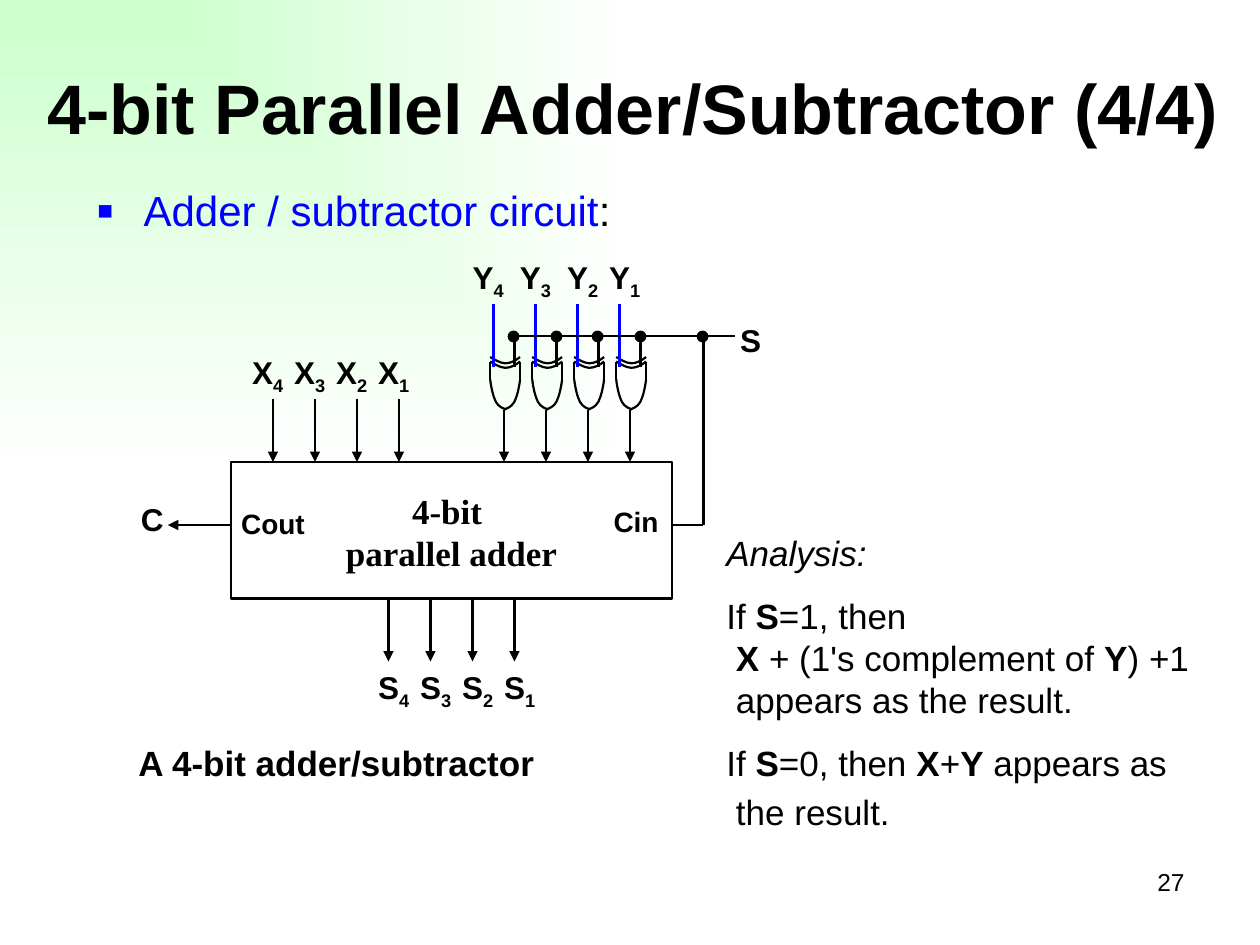
from lxml.etree import SubElement
from pptx import Presentation
from pptx.dml.color import RGBColor
from pptx.enum.shapes import MSO_CONNECTOR, MSO_SHAPE
from pptx.enum.text import MSO_ANCHOR, PP_ALIGN
from pptx.oxml.ns import qn
from pptx.util import Pt

BLACK, BLUE = "000000", "0000FF"
LEFT, CENTER, RIGHT = PP_ALIGN.LEFT, PP_ALIGN.CENTER, PP_ALIGN.RIGHT

presentation = Presentation()
presentation.slide_width, presentation.slide_height = Pt(720), Pt(540)
slide = presentation.slides.add_slide(presentation.slide_layouts[6])
shapes = slide.shapes


def write(lines, left, top, width, height, size, align=CENTER, font="Arial"):
    frame = shapes.add_textbox(Pt(left), Pt(top), Pt(width), Pt(height)).text_frame
    frame.word_wrap = True
    for number, line in enumerate(lines):
        paragraph = frame.add_paragraph() if number else frame.paragraphs[0]
        paragraph.alignment = align
        for text, style in line:
            run = paragraph.add_run()
            run.text = text
            run.font.name, run.font.size = font, Pt(size)
            run.font.bold, run.font.italic = "bold" in style, "italic" in style
            run.font.color.rgb = RGBColor.from_string(BLUE if "blue" in style else BLACK)
            if "sub" in style:
                run._r.get_or_add_rPr().set("baseline", "-25000")
    return frame


def wire(x1, y1, x2, y2, color=BLACK, arrow=False):
    connector = shapes.add_connector(MSO_CONNECTOR.STRAIGHT, Pt(x1), Pt(y1), Pt(x2), Pt(y2))
    connector.line.width = Pt(1.25)
    connector.line.color.rgb = RGBColor.from_string(color)
    if arrow:
        SubElement(connector.get_or_add_ln(), qn("a:tailEnd"), type="triangle")
    SubElement(connector._element.spPr, qn("a:effectLst"))


backdrop = slide.background.fill
backdrop.gradient()
for stop, color, position in zip(backdrop.gradient_stops, ("CCFFCC", "FFFFFF"), (0, 1)):
    stop.color.rgb = RGBColor.from_string(color)
    stop.position = position
gradient = slide.element.find(".//" + qn("a:gradFill"))
gradient.remove(gradient.find(qn("a:lin")))
corner = SubElement(gradient, qn("a:path"), path="rect")
SubElement(corner, qn("a:fillToRect"), r="100000", b="100000")

write([[("27", "")]], 516, 492, 168, 37.5, 14, RIGHT)
title = write([[("4-bit Parallel Adder/Subtractor (4/4)", "bold")]], 8, 16, 707.5, 90, 40)
title.vertical_anchor = MSO_ANCHOR.MIDDLE

heading = write([[("Adder / subtractor circuit", "blue"), (":", "")]], 48, 102, 612, 42, 24, LEFT)
bullet = heading.paragraphs[0]._p.get_or_add_pPr()
bullet.set("marL", str(Pt(27)))
bullet.set("indent", str(-Pt(27)))
SubElement(bullet, qn("a:buSzPct"), val="120000")
SubElement(bullet, qn("a:buFont"), typeface="Arial")
SubElement(bullet, qn("a:buChar"), char="▪")

analysis = write([
    [("Analysis:", "italic")],
    [("If ", ""), ("S", "bold"), ("=1, then", "")],
    [("X ", "bold"), ("+ (1's complement of ", ""), ("Y", "bold"), (") +1", "")],
    [("appears as the result.", "")],
    [("If ", ""), ("S", "bold"), ("=0, then ", ""), ("X", "bold"), ("+", ""),
     ("Y", "bold"), (" appears as", "")],
    [("the result.", "")],
], 408, 300, 282, 186, 20, LEFT)
for paragraph, gap, indent in zip(analysis.paragraphs, (0, 12, 0, 0, 12, 4), (0, 0, 5.5, 5.5, 0, 5.5)):
    paragraph.space_before = Pt(gap)
    paragraph._p.get_or_add_pPr().set("marL", str(Pt(indent)))

adder = shapes.add_shape(MSO_SHAPE.RECTANGLE, Pt(132), Pt(264), Pt(252), Pt(78))
adder.shadow.inherit = False
adder.fill.background()
adder.line.width = Pt(1.5)
adder.line.color.rgb = RGBColor.from_string(BLACK)
write([[("4-bit ", "bold")], [("parallel adder", "bold")]],
      168, 276, 180, 55.5, 20, font="Times New Roman")

for letter, centers, top in (
    ("X", (153, 177, 201, 225), 198),
    ("Y", (279, 306, 333, 357), 144),
    ("S", (225, 249, 273, 297), 378),
):
    for digit, center in zip("4321", centers):
        write([[(letter, "bold"), (digit, "bold sub")]], center - 21, top, 42, 29, 18)

for text, left, top, width, size in (
    ("C", 72, 282, 30, 18),
    ("S", 414, 180, 30, 18),
    ("Cin", 342.5, 284.5, 42, 16),
    ("Cout", 129, 286, 54, 16),
):
    write([[(text, "bold")]], left, top, width, 29, size)

back = [(9.2, 206.6), (6.5, 208.8), (3.6, 210.2), (0.7, 210.2),
        (-2.2, 210.2), (-6.5, 207.4), (-7.9, 206.6)]
outer_back = [(x, y - 2.6) for x, y in back]
right_side = [(9.2, 216.7), (8.6, 221.8), (7.4, 226.8), (5.9, 229.7),
              (4.2, 232.6), (2.1, 233.3), (0, 234)]
left_side = [(1.3 - x, y) for x, y in right_side]

for bit in range(4):
    shift = 24 * bit
    output = 288 + shift
    wire(156 + shift, 228, 156 + shift, 264, arrow=True)
    wire(output, 234, output, 264, arrow=True)
    wire(222 + shift, 342, 222 + shift, 378, arrow=True)
    for curve in (back, outer_back, right_side, left_side):
        start, *controls = [(Pt(output + x), Pt(y)) for x, y in curve]
        builder = shapes.build_freeform(*start)
        builder.add_line_segments(controls, close=False)
        outline = builder.convert_to_shape()
        route = outline._element.find(".//" + qn("a:path"))
        segments = route.findall(qn("a:lnTo"))
        for first in (0, 3):
            bezier = SubElement(route, qn("a:cubicBezTo"))
            for segment in segments[first:first + 3]:
                bezier.append(segment[0])
                route.remove(segment)
        outline.shadow.inherit = False
        outline.fill.background()
        outline.line.width = Pt(1.25)
        outline.line.color.rgb = RGBColor.from_string(BLACK)
    for edge in (9.2, -7.9):
        wire(output + edge, 206.6, output + edge, 216.7)
    wire(output - 6, 174, output - 6, 210, BLUE)
    wire(output + 6, 192, output + 6, 210)

wire(132, 300, 96, 300, arrow=True)
wire(294, 192, 420, 192)
wire(402, 192, 402, 300)
wire(384, 300, 402, 300)
for center in (293.5, 318, 341.5, 366, 401.5):
    junction = shapes.add_shape(MSO_SHAPE.OVAL, Pt(center - 3), Pt(189.3), Pt(6), Pt(6))
    junction.shadow.inherit = False
    junction.fill.solid()
    junction.fill.fore_color.rgb = RGBColor.from_string(BLACK)
    junction.line.width = Pt(0.75)
    junction.line.color.rgb = RGBColor.from_string(BLACK)

write([[("A 4-bit adder/subtractor", "bold")]], 72, 420, 288, 31, 20, LEFT)

presentation.save("out.pptx")
